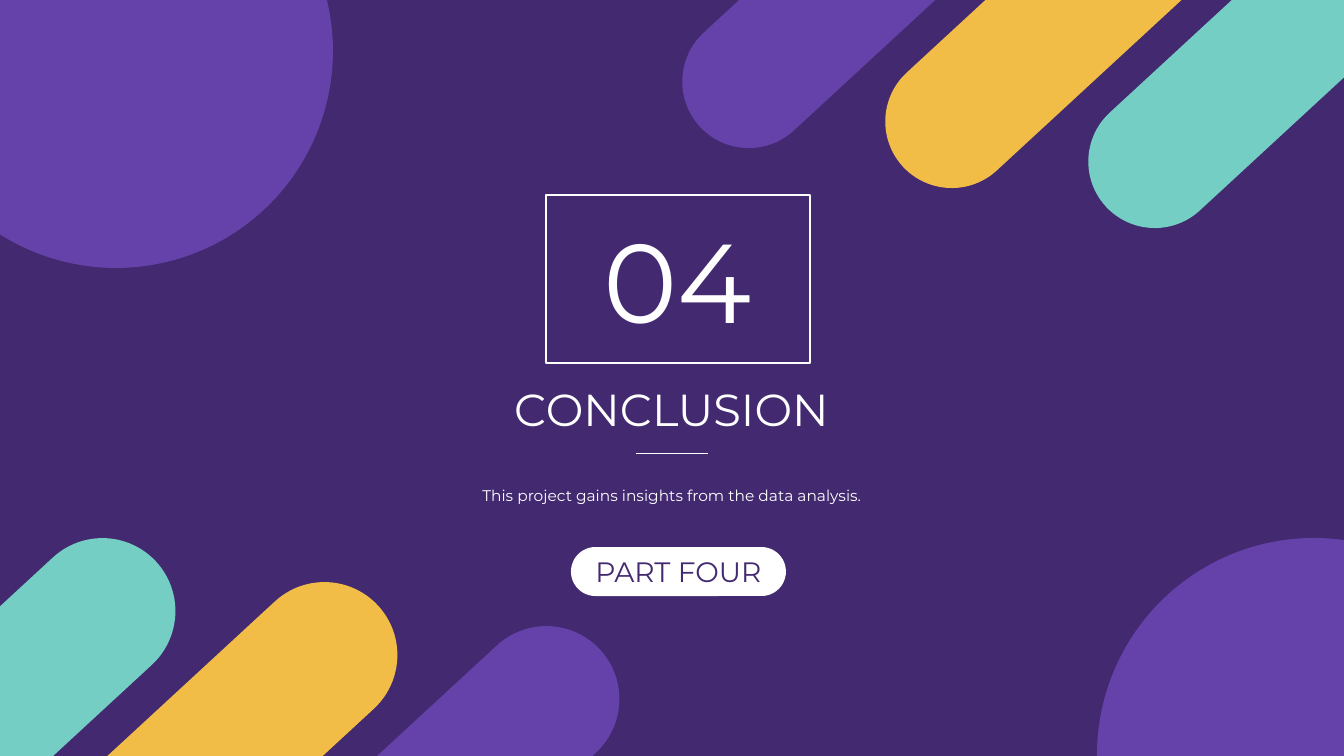
from lxml import etree
from pptx import Presentation
from pptx.dml.color import RGBColor
from pptx.enum.shapes import MSO_CONNECTOR, MSO_SHAPE
from pptx.enum.text import MSO_ANCHOR, MSO_AUTO_SIZE, PP_ALIGN
from pptx.oxml.ns import qn
from pptx.util import Emu, Pt

RECTANGLE, OVAL = MSO_SHAPE.RECTANGLE, MSO_SHAPE.OVAL
ROUNDED = MSO_SHAPE.ROUNDED_RECTANGLE
STRAIGHT = MSO_CONNECTOR.STRAIGHT
TOP, MIDDLE = MSO_ANCHOR.TOP, MSO_ANCHOR.MIDDLE
GROW = MSO_AUTO_SIZE.SHAPE_TO_FIT_TEXT
CENTER = PP_ALIGN.CENTER

EMU_PER_PX = 914400 / 100.8
FONT = "Montserrat"
NIGHT, PURPLE, YELLOW, TEAL, WHITE = "422970", "6542A9", "F1BD47", "75CEC4", "FFFFFF"
TITLE_ONLY = 5


def px(value):
    return Emu(round(value * EMU_PER_PX))


def color(hex_string):
    return RGBColor.from_string(hex_string)


class SlideBuilder:
    def __init__(self, presentation, background):
        self.slide = presentation.slides.add_slide(presentation.slide_layouts[TITLE_ONLY])
        fill = self.slide.background.fill
        fill.solid()
        fill.fore_color.rgb = color(background)

    def shape(self, kind, box, fill=None, line=None, shapes=None):
        parent = self.slide.shapes if shapes is None else shapes
        shape = parent.add_shape(kind, *map(px, box))
        shape.shadow.inherit = False
        if kind == ROUNDED:
            shape.adjustments[0] = 0.5
        if fill:
            shape.fill.solid()
            shape.fill.fore_color.rgb = color(fill)
        else:
            shape.fill.background()
        if line:
            shape.line.color.rgb = color(line)
            shape.line.width = Pt(1)
        else:
            shape.line.fill.background()
        return shape

    def bars(self, left, top, step, size, fills):
        group = self.slide.shapes.add_group_shape()
        for index, fill in enumerate(fills):
            box = (left + index * step[0], top + index * step[1], *size)
            bar = self.shape(ROUNDED, box, fill, shapes=group.shapes)
            bar.rotation = 317.3

    def text(self, shape, words, size, hex_string=WHITE, spacing=1.0, **frame_format):
        frame = shape.text_frame
        for name, value in {"word_wrap": True, **frame_format}.items():
            setattr(frame, name, value)
        paragraph = frame.paragraphs[0]
        paragraph.alignment = CENTER
        paragraph.line_spacing = spacing
        run = paragraph.add_run()
        run.text = words
        for name, value in {"name": FONT, "size": Pt(size)}.items():
            setattr(run.font, name, value)
        run.font.color.rgb = color(hex_string)

    def text_box(self, box, words, size, **options):
        shape = self.slide.shapes.add_textbox(*map(px, box))
        self.text(shape, words, size, auto_size=GROW, **options)

    def title(self, box, words, size):
        shape = self.slide.shapes.title
        for name, value in zip(("left", "top", "width", "height"), box):
            setattr(shape, name, px(value))
        self.text(shape, words, size, auto_size=GROW, vertical_anchor=TOP)

    def rule(self, left, right, y):
        connector = self.slide.shapes.add_connector(STRAIGHT, px(left), px(y), px(right), px(y))
        connector.line.color.rgb = color(WHITE)
        connector.line.width = Pt(0.5)
        etree.SubElement(connector._element.spPr, qn("a:effectLst"))


def main():
    presentation = Presentation()
    presentation.slide_width, presentation.slide_height = px(1344), px(756)
    builder = SlideBuilder(presentation, NIGHT)

    # Corner circles
    for left, top in ((-101, -166), (1097, 538)):
        builder.shape(OVAL, (left, top, 434, 434), PURPLE)

    # Diagonal bars
    builder.bars(635, -106, (203, 40), (490, 133), (PURPLE, YELLOW, TEAL))
    builder.bars(-308, 670, (222, 44), (535, 146), (TEAL, YELLOW, PURPLE))

    # Section number
    number = builder.shape(RECTANGLE, (546, 195, 264, 168), line=WHITE)
    builder.text(number, "04", 80, vertical_anchor=MIDDLE)

    # Heading and summary
    builder.title((457, 377, 429, 64), "CONCLUSION", 32)
    builder.rule(636, 708, 453)
    builder.text_box((310, 472, 724, 38),
                     "This project gains insights from the data analysis.", 11, spacing=1.5)

    # Part label
    label = builder.shape(ROUNDED, (571, 547, 215, 49), WHITE)
    builder.text(label, "PART FOUR", 20, NIGHT, vertical_anchor=MIDDLE)

    presentation.save("out.pptx")


if __name__ == "__main__":
    main()
